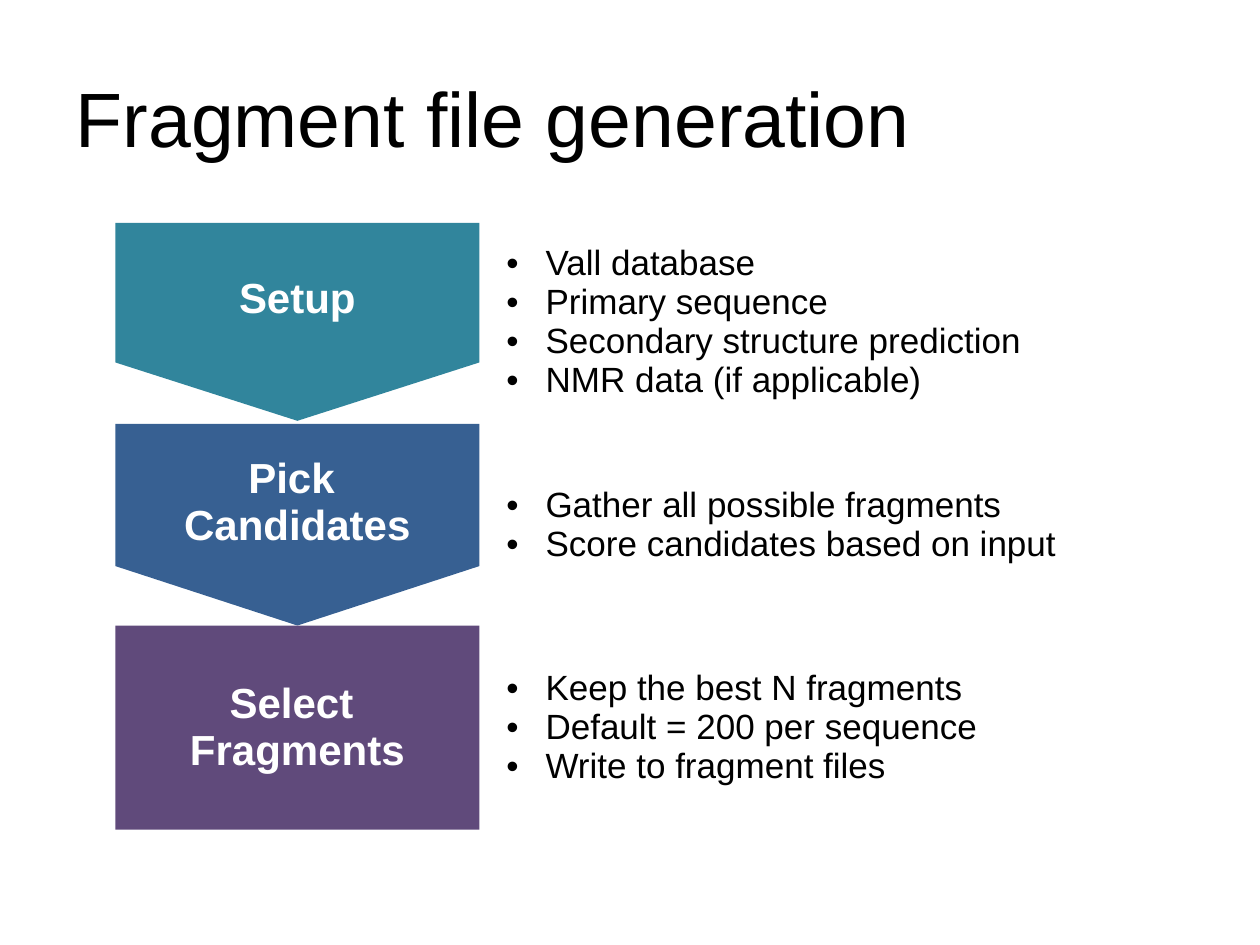
from lxml import etree
from pptx import Presentation, util as u
from pptx.dml.color import RGBColor
from pptx.enum import shapes, text
from pptx.oxml.ns import qn

BLACK = RGBColor(0, 0, 0)
WHITE = RGBColor(255, 255, 255)
TEAL = RGBColor(0x31, 0x85, 0x9C)
BLUE = RGBColor(0x37, 0x60, 0x92)
PURPLE = RGBColor(0x60, 0x4A, 0x7B)

TITLE = "Fragment file generation"
# label lines, details, colour, height of the step's shape
STEPS = [
    (["Setup"],
     ["Vall database", "Primary sequence", "Secondary structure prediction",
      "NMR data (if applicable)"], TEAL, 1.57),
    (["Pick ", "Candidates"],
     ["Gather all possible fragments", "Score candidates based on input"],
     BLUE, 1.6),
    (["Select ", "Fragments"],
     ["Keep the best N fragments", "Default = 200 per sequence",
      "Write to fragment files"], PURPLE, 1.62),
]

TABLE_LEFT, TABLE_TOP = 0.9, 1.75
COLUMNS = [2.92, 5.27]
ROW_HEIGHT = 1.61
SHAPE_WIDTH = 2.89
ARROW_TIP = 0.295
ARROW_LABEL_LIFT = 0.41
PLAIN_TABLE = "{2D5ABB26-0587-4C30-8999-92F81FD0307C}"

TITLE_FONT = dict(name="Arial", size=u.Pt(44), bold=False)
LABEL_FONT = dict(name="Arial", size=u.Pt(24), bold=True)
DETAIL_FONT = dict(name="Arial", size=u.Pt(20), bold=False)


def style(para, font, color, align):
    para.alignment = align
    for key, value in font.items():
        setattr(para.font, key, value)
    para.font.color.rgb = color


def add_bullet(para):
    props = para._p.get_or_add_pPr()
    props.set("marL", str(u.Inches(0.41)))
    props.set("indent", str(u.Inches(-0.31)))
    etree.SubElement(props, qn("a:buFont")).set("typeface", "Arial")
    etree.SubElement(props, qn("a:buChar")).set("char", "•")


def fill_cell(cell, lines, font, color, align, bulleted=False):
    cell.fill.background()
    cell.vertical_anchor = text.MSO_ANCHOR.MIDDLE
    cell.text = "\n".join(lines)
    for para in cell.text_frame.paragraphs:
        if bulleted:
            add_bullet(para)
        style(para, font, color, align)


def add_step_shape(slide, row, color, height, is_last):
    """Place a rectangle, or a pentagon pointing down, behind a table row."""
    center_x = TABLE_LEFT + COLUMNS[0] / 2
    center_y = TABLE_TOP + ROW_HEIGHT * (row + 0.5)
    kind = shapes.MSO_SHAPE.RECTANGLE if is_last else shapes.MSO_SHAPE.PENTAGON
    width, depth = (SHAPE_WIDTH, height) if is_last else (height, SHAPE_WIDTH)
    shape = slide.shapes.add_shape(
        kind, u.Inches(center_x - width / 2), u.Inches(center_y - depth / 2),
        u.Inches(width), u.Inches(depth))
    if not is_last:
        shape.rotation = 90
        shape.adjustments[0] = ARROW_TIP
    shape.shadow.inherit = False
    shape.fill.solid()
    shape.fill.fore_color.rgb = color
    shape.line.fill.background()


def add_step_table(slide):
    table = slide.shapes.add_table(
        len(STEPS), len(COLUMNS), u.Inches(TABLE_LEFT), u.Inches(TABLE_TOP),
        u.Inches(sum(COLUMNS)), u.Inches(ROW_HEIGHT * len(STEPS))).table
    table.first_row = table.horz_banding = False
    table._tbl.tblPr.find(qn("a:tableStyleId")).text = PLAIN_TABLE
    for column, width in zip(table.columns, COLUMNS):
        column.width = u.Inches(width)
    for row, (label, details, _, _) in enumerate(STEPS):
        name_cell, detail_cell = table.cell(row, 0), table.cell(row, 1)
        fill_cell(name_cell, label, LABEL_FONT, WHITE, text.PP_ALIGN.CENTER)
        if row < len(STEPS) - 1:
            name_cell.margin_bottom = u.Inches(ARROW_LABEL_LIFT)
        fill_cell(detail_cell, details, DETAIL_FONT, BLACK,
                  text.PP_ALIGN.LEFT, bulleted=True)


def main():
    deck = Presentation()
    deck.slide_width, deck.slide_height = u.Inches(10), u.Inches(7.5)
    slide = deck.slides.add_slide(deck.slide_layouts[5])

    title = slide.shapes.title
    title.left, title.top = u.Inches(0.5), u.Inches(0.3)
    title.width, title.height = u.Inches(9), u.Inches(1.25)
    title.text_frame.text = TITLE
    title.text_frame.vertical_anchor = text.MSO_ANCHOR.MIDDLE
    style(title.text_frame.paragraphs[0], TITLE_FONT, BLACK,
          text.PP_ALIGN.LEFT)

    for row, (_, _, color, height) in enumerate(STEPS):
        add_step_shape(slide, row, color, height, row == len(STEPS) - 1)
    add_step_table(slide)
    deck.save("out.pptx")


if __name__ == "__main__":
    main()
